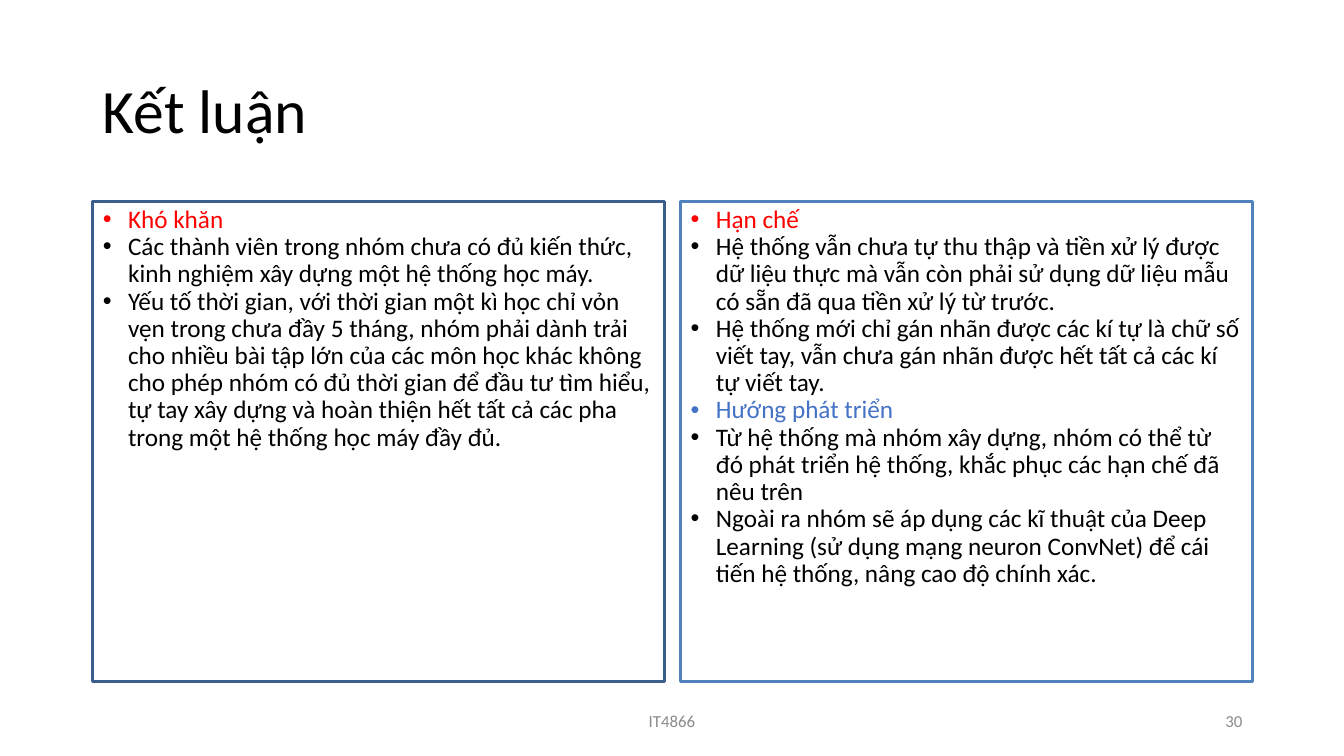
from dataclasses import dataclass

from pptx import Presentation
from pptx.dml.color import RGBColor as RGB
from pptx.enum.text import MSO_ANCHOR as Anchor, MSO_AUTO_SIZE as AutoSize, PP_ALIGN as Align
from pptx.util import Inches, Pt


@dataclass(frozen=True)
class Theme:
    font: str = "Calibri"
    title_size: float = 44
    body_size: float = 18
    footer_size: float = 12
    text: RGB = RGB(0x00, 0x00, 0x00)
    problem: RGB = RGB(0xFF, 0x00, 0x00)
    plan: RGB = RGB(0x44, 0x72, 0xC4)
    footer: RGB = RGB(0x8B, 0x8B, 0x8B)
    left_border: RGB = RGB(0x3A, 0x5F, 0x8C)
    right_border: RGB = RGB(0x4F, 0x81, 0xBD)


THEME = Theme()
SLIDE_WIDTH, SLIDE_HEIGHT = 13.33, 7.5
MARGIN = 0.92
CONTENT_WIDTH = 11.5
COLUMN_GAP = 0.16
INDENT = 0.25

DIFFICULTIES = [
    ("Khó khăn", THEME.problem),
    ("Các thành viên trong nhóm chưa có đủ kiến thức, kinh nghiệm xây dựng một hệ thống học máy.", THEME.text),
    ("Yếu tố thời gian, với thời gian một kì học chỉ vỏn vẹn trong chưa đầy 5 tháng, nhóm phải dành trải "
     "cho nhiều bài tập lớn của các môn học khác không cho phép nhóm có đủ thời gian để đầu tư tìm hiểu, "
     "tự tay xây dựng và hoàn thiện hết tất cả các pha trong một hệ thống học máy đầy đủ.", THEME.text),
]
LIMITS_AND_PLANS = [
    ("Hạn chế", THEME.problem),
    ("Hệ thống vẫn chưa tự thu thập và tiền xử lý được dữ liệu thực mà vẫn còn phải sử dụng dữ liệu mẫu "
     "có sẵn đã qua tiền xử lý từ trước.", THEME.text),
    ("Hệ thống mới chỉ gán nhãn được các kí tự là chữ số viết tay, vẫn chưa gán nhãn được hết tất cả "
     "các kí tự viết tay.", THEME.text),
    ("Hướng phát triển", THEME.plan),
    ("Từ hệ thống mà nhóm xây dựng, nhóm có thể từ đó phát triển hệ thống, khắc phục các hạn chế đã "
     "nêu trên", THEME.text),
    ("Ngoài ra nhóm sẽ áp dụng các kĩ thuật của Deep Learning (sử dụng mạng neuron ConvNet) để cái "
     "tiến hệ thống, nâng cao độ chính xác.", THEME.text),
]


def place(shape, box):
    shape.left, shape.top, shape.width, shape.height = (Inches(length) for length in box)


def style(paragraph, size, color, align=Align.LEFT):
    paragraph.alignment = align
    paragraph.font.name = THEME.font
    paragraph.font.size = Pt(size)
    paragraph.font.color.rgb = color


def prepare_frame(shape, anchor):
    frame = shape.text_frame
    frame.word_wrap = True
    frame.auto_size = AutoSize.NONE
    frame.vertical_anchor = anchor
    return frame


def fill_title(title, box, text):
    place(title, box)
    frame = prepare_frame(title, Anchor.MIDDLE)
    frame.text = text
    frame.paragraphs[0].line_spacing = 0.9
    style(frame.paragraphs[0], THEME.title_size, THEME.text)


def fill_panel(body, box, items, border, border_width):
    place(body, box)
    body.line.color.rgb = border
    body.line.width = Pt(border_width)
    frame = prepare_frame(body, Anchor.TOP)
    frame.text = "\n".join(text for text, _ in items)
    for paragraph, (_, color) in zip(frame.paragraphs, items):
        style(paragraph, THEME.body_size, color)
        paragraph.line_spacing = 0.9
        paragraph.space_before = Pt(0)
        # Hanging indent; the bullet takes the text colour
        properties = paragraph._p.get_or_add_pPr()
        properties.set("marL", str(Inches(INDENT)))
        properties.set("indent", str(-Inches(INDENT)))


def add_footer(slide, box, text, align):
    footer = slide.shapes.add_textbox(*(Inches(length) for length in box))
    frame = prepare_frame(footer, Anchor.MIDDLE)
    frame.text = text
    style(frame.paragraphs[0], THEME.footer_size, THEME.footer, align)


def build_conclusion(presentation):
    slide = presentation.slides.add_slide(presentation.slide_layouts.get_by_name("Two Content"))
    title, left_body, right_body = slide.placeholders

    # Title
    fill_title(title, (MARGIN, 0.4, CONTENT_WIDTH, 1.45), "Kết luận")

    # Two equal framed columns
    column_width = (CONTENT_WIDTH - COLUMN_GAP) / 2
    columns = [
        (left_body, DIFFICULTIES, THEME.left_border, 2.25),
        (right_body, LIMITS_AND_PLANS, THEME.right_border, 2.25),
    ]
    for index, (body, items, border, border_width) in enumerate(columns):
        left = MARGIN + index * (column_width + COLUMN_GAP)
        fill_panel(body, (left, 2, column_width, 4.76), items, border, border_width)

    # Course code in the centre, page number at the right margin
    course_width, number_width = 4.5, 3
    add_footer(slide, ((SLIDE_WIDTH - course_width) / 2, 6.95, course_width, 0.4), "IT4866", Align.CENTER)
    add_footer(slide, (MARGIN + CONTENT_WIDTH - number_width, 6.95, number_width, 0.4), "30", Align.RIGHT)


def main():
    presentation = Presentation()
    presentation.slide_width = Inches(SLIDE_WIDTH)
    presentation.slide_height = Inches(SLIDE_HEIGHT)
    build_conclusion(presentation)
    presentation.save("out.pptx")


if __name__ == "__main__":
    main()
